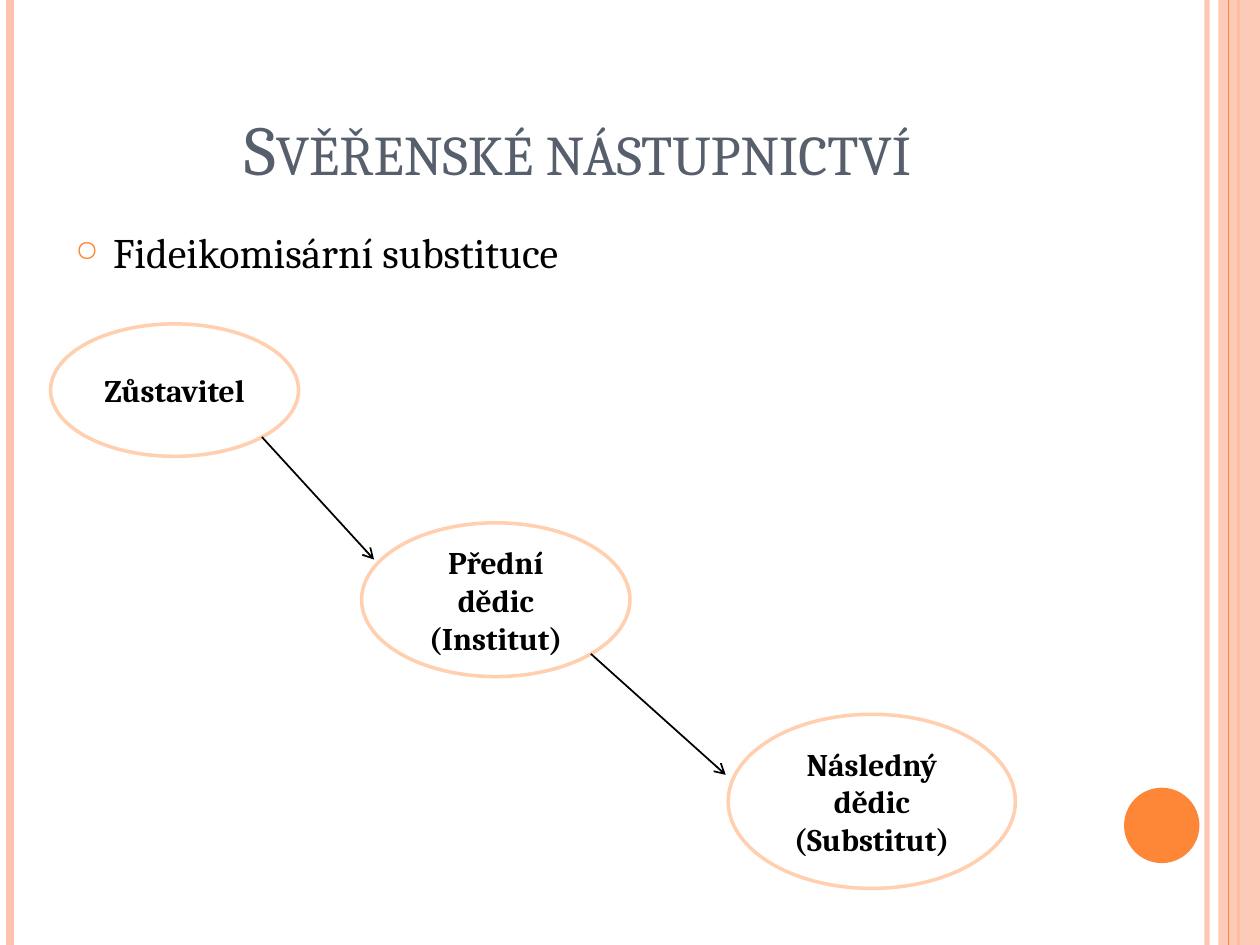
import pptx
import pptx.util
import pptx.dml.color
import pptx.enum.shapes
import pptx.enum.text
import pptx.oxml
import pptx.oxml.ns
from dataclasses import dataclass
from lxml import etree
from pptx.util import Cm, Pt

SHAPES = pptx.enum.shapes.MSO_SHAPE
ALIGN = pptx.enum.text.PP_ALIGN
ANCHOR = pptx.enum.text.MSO_ANCHOR
qn = pptx.oxml.ns.qn


@dataclass(frozen=True)
class Theme:
    font: str = "Cambria"
    text: str = "000000"
    title: str = "575F6D"
    accent: str = "FE8637"
    stripe: str = "FEC3AE"
    outline: str = "FFCFAF"
    title_size: int = 40
    body_size: int = 24
    label_size: int = 18


THEME = Theme()
WIDTH, HEIGHT = 25.4, 19.05


def rgb(value):
    return pptx.dml.color.RGBColor.from_string(value)


def set_alpha(fill, percent):
    color = fill.fore_color._xFill.find(qn("a:srgbClr"))
    etree.SubElement(color, qn("a:alpha"), val=str(percent * 1000))


def add_run(paragraph, text, size, color, bold=False):
    run = paragraph.add_run()
    run.text = text
    run.font.name = THEME.font
    run.font.size = Pt(size)
    run.font.color.rgb = rgb(color)
    run.font.bold = bold
    return run


def add_line(slide, start, end, color, width, alpha=None, arrow=False):
    line = slide.shapes.add_connector(
        pptx.enum.shapes.MSO_CONNECTOR.STRAIGHT,
        *(Cm(value) for value in (*start, *end)))
    line.line.color.rgb = rgb(color)
    line.line.width = Pt(width)
    if alpha:
        set_alpha(line.line.fill, alpha)
    properties = line._element.spPr
    if arrow:
        etree.SubElement(properties.find(qn("a:ln")), qn("a:tailEnd"), type="arrow")
    etree.SubElement(properties, qn("a:effectLst"))


def add_filled_shape(slide, kind, box, color, alpha=None):
    shape = slide.shapes.add_shape(kind, *map(Cm, box))
    shape.shadow.inherit = False
    shape.fill.solid()
    shape.fill.fore_color.rgb = rgb(color)
    if alpha:
        set_alpha(shape.fill, alpha)
    shape.line.fill.background()


def add_person(slide, box, label):
    ellipse = slide.shapes.add_shape(SHAPES.OVAL, *map(Cm, box))
    ellipse.shadow.inherit = False
    ellipse.fill.background()
    ellipse.line.color.rgb = rgb(THEME.outline)
    ellipse.line.width = Pt(2)
    frame = ellipse.text_frame
    frame.word_wrap = True
    frame.vertical_anchor = ANCHOR.MIDDLE
    paragraph = frame.paragraphs[0]
    paragraph.alignment = ALIGN.CENTER
    add_run(paragraph, label, THEME.label_size, THEME.text, bold=True)


def add_decoration(slide):
    def stripe(x, color, width, alpha=None):
        add_line(slide, (x, 0), (x, HEIGHT), color, width, alpha)

    stripe(24.33, THEME.stripe, 3, 93)
    stripe(0.2, THEME.stripe, 4.5)
    stripe(24.97, THEME.accent, 1.5)
    add_filled_shape(slide, SHAPES.RECTANGLE, (24.56, 0, 0.84, HEIGHT), THEME.stripe, 87)
    stripe(24.77, THEME.accent, 0.75)
    add_filled_shape(slide, SHAPES.OVAL, (22.66, 15.88, 1.52, 1.52), THEME.accent)


def set_title(slide, text):
    title = slide.shapes.title
    title.left, title.top, title.width, title.height = map(Cm, (1.27, 0.76, 20.75, 3.18))
    frame = title.text_frame
    frame.word_wrap = True
    frame.vertical_anchor = ANCHOR.BOTTOM
    paragraph = frame.paragraphs[0]
    paragraph.alignment = ALIGN.CENTER
    run = add_run(paragraph, text, THEME.title_size, THEME.title)
    run.font._element.set("cap", "small")


def add_bullet_text(slide, box, text):
    frame = slide.shapes.add_textbox(*map(Cm, box)).text_frame
    frame.word_wrap = True
    paragraph = frame.paragraphs[0]
    paragraph.space_before = Pt(6)
    add_run(paragraph, text, THEME.body_size, THEME.text)
    properties = paragraph._element.get_or_add_pPr()
    properties.set("marL", str(Cm(0.76)))
    properties.set("indent", str(-Cm(0.76)))
    color = etree.SubElement(properties, qn("a:buClr"))
    etree.SubElement(color, qn("a:srgbClr"), val=THEME.accent)
    etree.SubElement(properties, qn("a:buSzPct"), val="70000")
    etree.SubElement(properties, qn("a:buChar"), char="○")


def main():
    presentation = pptx.Presentation()
    presentation.slide_width, presentation.slide_height = Cm(WIDTH), Cm(HEIGHT)
    slide = presentation.slides.add_slide(presentation.slide_layouts[5])

    # Side stripes and disc
    add_decoration(slide)

    # Heading and bullet
    set_title(slide, "Svěřenské nástupnictví")
    add_bullet_text(slide, (1.27, 4.45, 20.75, 13.54), "Fideikomisární substituce")

    # Chain of succession
    people = [
        ((1.02, 6.53, 5, 2.67), "Zůstavitel"),
        ((7.29, 10.54, 5.41, 3.1), "Přední dědic (Institut)"),
        ((14.68, 14.4, 5.79, 3.51), "Následný dědic (Substitut)"),
    ]
    for box, label in people:
        add_person(slide, box, label)

    # Arrows from each person to the next
    for start, end in [((5.28, 8.81), (7.54, 11.28)), ((11.91, 13.18), (14.63, 15.62))]:
        add_line(slide, start, end, THEME.text, 1, arrow=True)

    presentation.save("out.pptx")


if __name__ == "__main__":
    main()
